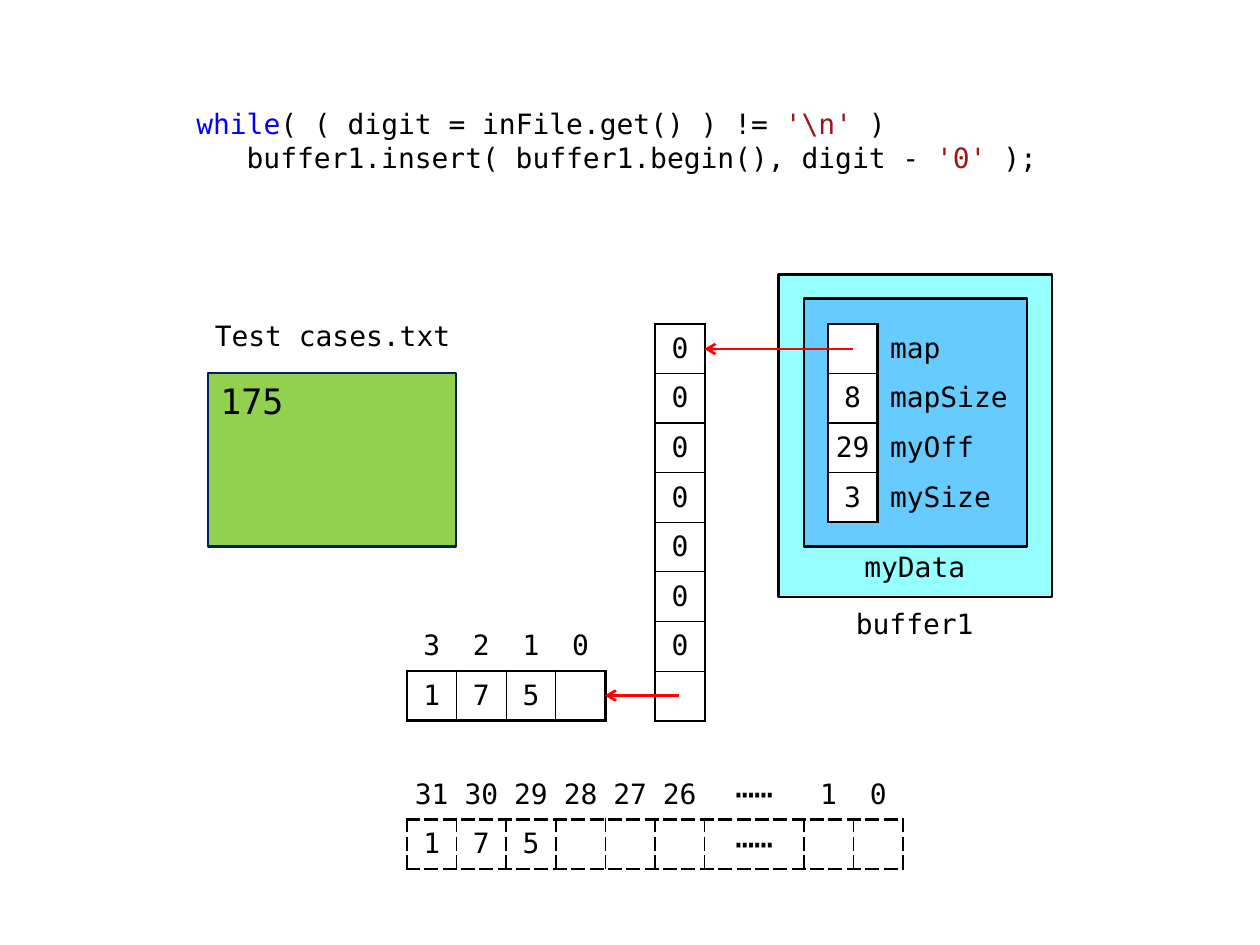
from dataclasses import dataclass

from lxml import etree
from pptx import Presentation
from pptx.dml.color import RGBColor
from pptx.enum.shapes import MSO_CONNECTOR, MSO_SHAPE
from pptx.enum.text import MSO_ANCHOR, PP_ALIGN
from pptx.oxml.ns import qn
from pptx.util import Inches, Pt

LEFT, CENTER = PP_ALIGN.LEFT, PP_ALIGN.CENTER
TOP, MIDDLE = MSO_ANCHOR.TOP, MSO_ANCHOR.MIDDLE
RECTANGLE, PROCESS = MSO_SHAPE.RECTANGLE, MSO_SHAPE.FLOWCHART_PROCESS
STRAIGHT = MSO_CONNECTOR.STRAIGHT

BLACK = RGBColor(0x00, 0x00, 0x00)
WHITE = RGBColor(0xFF, 0xFF, 0xFF)
KEYWORD_BLUE = RGBColor(0x00, 0x00, 0xFF)
LITERAL_RED = RGBColor(0xA3, 0x15, 0x15)
ARROW_RED = RGBColor(0xFF, 0x00, 0x00)
FILE_GREEN = RGBColor(0x92, 0xD0, 0x50)
NAVY = RGBColor(0x00, 0x20, 0x60)
AQUA = RGBColor(0x96, 0xFF, 0xFF)
SKY = RGBColor(0x66, 0xCC, 0xFF)

FONT = "DejaVu Sans Mono"
NO_GRID_STYLE = "{2D5ABB26-0587-4C30-8999-92F81FD0307C}"
CELL = 3.15 / 8
OUTER = 1.5
ELLIPSIS = "⋯⋯"


@dataclass(frozen=True)
class Box:
    left: float
    top: float
    width: float
    height: float
    fill: RGBColor
    line: RGBColor = BLACK
    preset: int = PROCESS


@dataclass(frozen=True)
class Label:
    text: str
    left: float
    top: float
    width: float
    height: float
    anchor: int = MIDDLE
    margin_top: float = 0.05
    margin_bottom: float = 0.05


@dataclass(frozen=True)
class Grid:
    left: float
    top: float
    rows: list
    spans: list
    inner: float
    dash: str = "solid"
    header_rows: int = 0
    label_columns: int = 0
    inset: float = 0.04


@dataclass(frozen=True)
class Arrow:
    start_x: float
    end_x: float
    y: float


CODE = [
    (0, [("while", KEYWORD_BLUE), ("( ( digit = inFile.get() ) != ", BLACK),
         ("'\\n'", LITERAL_RED), (" )", BLACK)]),
    (0.4, [("buffer1.insert( buffer1.begin(), digit - ", BLACK),
           ("'0'", LITERAL_RED), (" );", BLACK)]),
]
TEST_FILE = Box(1.65, 2.96, 1.97, 1.38, FILE_GREEN, NAVY, RECTANGLE)
BUFFER = Box(6.18, 2.18, 2.17, 2.56, AQUA)
MY_DATA = Box(6.38, 2.37, 1.77, 1.97, SKY)
LABELS = [
    Label("Test cases.txt", 1.46, 2.37, 2.36, 0.59),
    Label("buffer1", 6.57, 4.73, 1.38, 0.39, MIDDLE, 0.04, 0),
    Label("myData", 6.77, 4.34, 0.98, 0.39, TOP, 0.02, 0),
]
MEMBERS = Grid(6.57, 2.57,
               [["", "map"], ["8", "mapSize"], ["29", "myOff"], ["3", "mySize"]],
               [1, 3], 1, label_columns=1, inset=0)
BLOCK_MAP = Grid(5.2, 2.57, [["0"]] * 7 + [[""]], [1], 0.75)
BLOCK = Grid(3.23, 4.93, [["3", "2", "1", "0"], ["1", "7", "5", ""]],
             [1] * 4, 0.75, header_rows=1)
SEQUENCE = Grid(3.23, 6.11,
                [["31", "30", "29", "28", "27", "26", ELLIPSIS, "1", "0"],
                 ["1", "7", "5", "", "", "", ELLIPSIS, "", ""]],
                [1] * 6 + [2, 1, 1], 1, "sysDash", header_rows=1)
ARROWS = [Arrow(6.77, 5.59, 2.77), Arrow(5.39, 4.8, 5.52)]


def add_run(paragraph, text: str, size: float = 16, color: RGBColor = BLACK) -> None:
    run = paragraph.add_run()
    run.text = text
    run.font.name = FONT
    run.font.size = Pt(size)
    run.font.color.rgb = color


def draw_code(slide) -> None:
    frame = slide.shapes.add_textbox(
        Inches(1.46), Inches(0.8), Inches(7.09), Inches(0.79)).text_frame
    frame.word_wrap = True
    for index, (indent, pieces) in enumerate(CODE):
        paragraph = frame.add_paragraph() if index else frame.paragraphs[0]
        paragraph._p.get_or_add_pPr().set("marL", str(Inches(indent)))
        for text, color in pieces:
            add_run(paragraph, text, color=color)


def draw_box(slide, box: Box):
    shape = slide.shapes.add_shape(
        box.preset, Inches(box.left), Inches(box.top),
        Inches(box.width), Inches(box.height))
    shape.shadow.inherit = False
    shape.fill.solid()
    shape.fill.fore_color.rgb = box.fill
    shape.line.color.rgb = box.line
    shape.line.width = Pt(OUTER)
    return shape


def draw_test_file(slide) -> None:
    frame = draw_box(slide, TEST_FILE).text_frame
    frame.vertical_anchor = TOP
    contents = frame.paragraphs[0]
    contents.alignment = LEFT
    contents.space_before = Pt(2)
    add_run(contents, "175", 20)


def draw_label(slide, label: Label) -> None:
    frame = slide.shapes.add_textbox(
        Inches(label.left), Inches(label.top),
        Inches(label.width), Inches(label.height)).text_frame
    frame.word_wrap = True
    frame.vertical_anchor = label.anchor
    frame.margin_left = frame.margin_right = Inches(0.08)
    frame.margin_top = Inches(label.margin_top)
    frame.margin_bottom = Inches(label.margin_bottom)
    frame.paragraphs[0].alignment = CENTER
    add_run(frame.paragraphs[0], label.text)


def add_border(cell, side: str, width: float, dash: str) -> None:
    line = etree.SubElement(cell._tc.get_or_add_tcPr(), qn(f"a:ln{side}"),
                            w=str(Pt(width)))
    fill = etree.SubElement(line, qn("a:solidFill"))
    etree.SubElement(fill, qn("a:srgbClr"), val=str(BLACK))
    etree.SubElement(line, qn("a:prstDash"), val=dash)


def draw_grid(slide, grid: Grid) -> None:
    table = slide.shapes.add_table(
        len(grid.rows), len(grid.spans), Inches(grid.left), Inches(grid.top),
        Inches(CELL * sum(grid.spans)), Inches(CELL * len(grid.rows))).table
    table.first_row = table.horz_banding = False
    table._tbl.tblPr.find(qn("a:tableStyleId")).text = NO_GRID_STYLE
    for column, span in zip(table.columns, grid.spans):
        column.width = Inches(CELL * span)
    last_row = len(grid.rows) - 1
    last_column = len(grid.spans) - 1 - grid.label_columns
    for r, texts in enumerate(grid.rows):
        table.rows[r].height = Inches(CELL)
        for c, text in enumerate(texts):
            cell = table.cell(r, c)
            is_label = c > last_column
            cell.vertical_anchor = MIDDLE
            cell.margin_left = cell.margin_right = Inches(0.1 if is_label else grid.inset)
            cell.margin_top = cell.margin_bottom = Inches(0.04)
            paragraph = cell.text_frame.paragraphs[0]
            paragraph.alignment = LEFT if is_label else CENTER
            if text:
                add_run(paragraph, text, 18 if text == ELLIPSIS else 16)
            if is_label or r < grid.header_rows:
                cell.fill.background()
                continue
            edges = {"L": c == 0, "R": c == last_column,
                     "T": r == grid.header_rows, "B": r == last_row}
            for side, is_outer in edges.items():
                add_border(cell, side, OUTER if is_outer else grid.inner, grid.dash)
            cell.fill.solid()
            cell.fill.fore_color.rgb = WHITE


def draw_arrow(slide, arrow: Arrow) -> None:
    connector = slide.shapes.add_connector(
        STRAIGHT, Inches(arrow.start_x), Inches(arrow.y),
        Inches(arrow.end_x), Inches(arrow.y))
    connector.line.color.rgb = ARROW_RED
    connector.line.width = Pt(OUTER)
    etree.SubElement(connector.line._get_or_add_ln(), qn("a:tailEnd"), type="arrow")
    etree.SubElement(connector._element.spPr, qn("a:effectLst"))


def main() -> None:
    deck = Presentation()
    deck.slide_width, deck.slide_height = Inches(10), Inches(7.5)
    slide = deck.slides.add_slide(deck.slide_layouts[6])
    draw_code(slide)
    draw_test_file(slide)
    for box in (BUFFER, MY_DATA):
        draw_box(slide, box)
    for label in LABELS:
        draw_label(slide, label)
    for grid in (MEMBERS, BLOCK_MAP, BLOCK, SEQUENCE):
        draw_grid(slide, grid)
    for arrow in ARROWS:
        draw_arrow(slide, arrow)
    deck.save("out.pptx")


if __name__ == "__main__":
    main()
